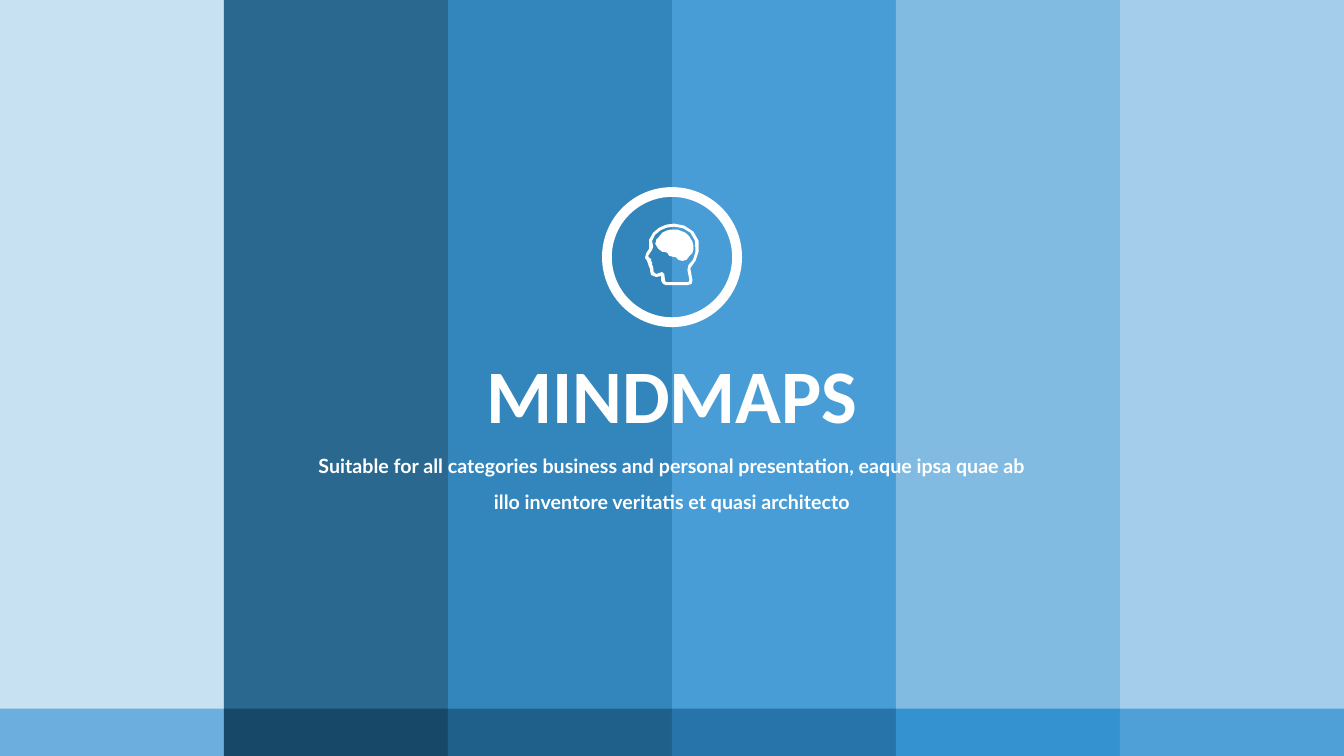
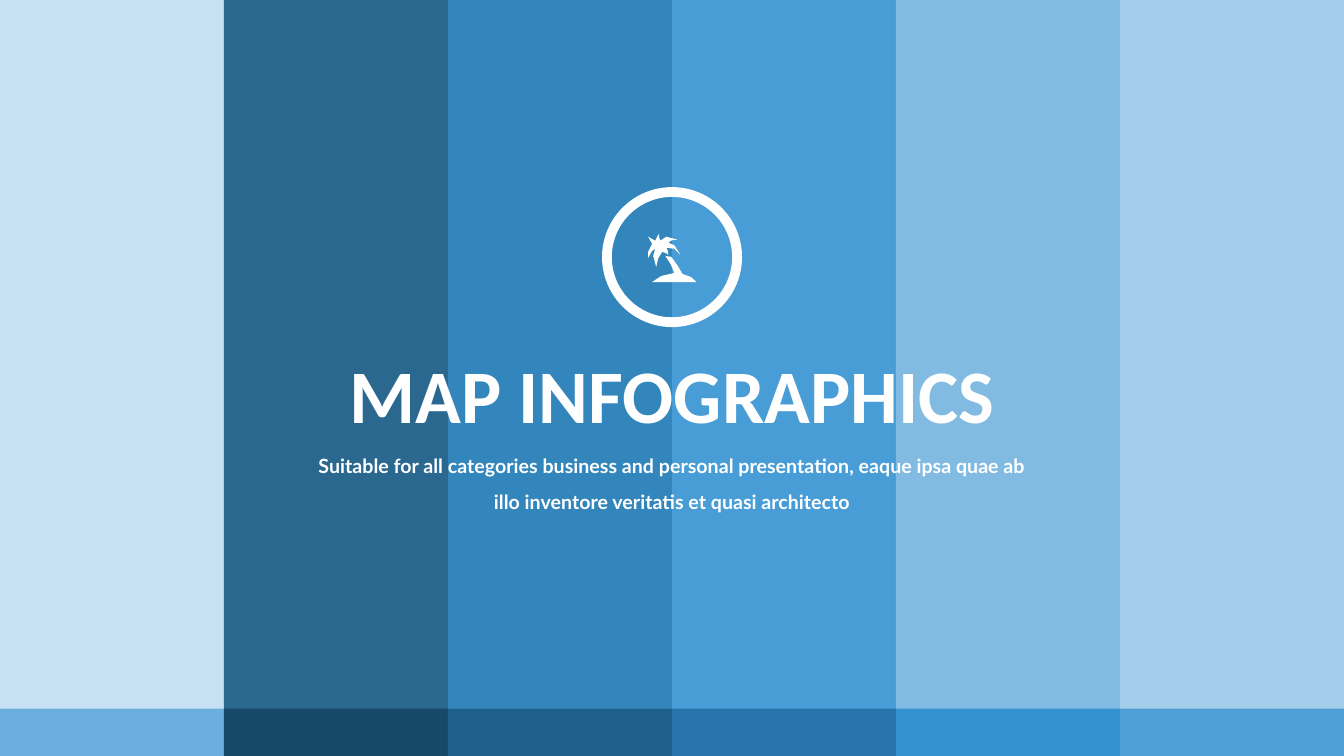
from pptx import Presentation
from pptx.dml.color import RGBColor as RGB
from pptx.enum.shapes import MSO_SHAPE as SHAPE
from pptx.enum.text import MSO_AUTO_SIZE as AUTO, PP_ALIGN as ALIGN
from pptx.oxml.xmlchemy import OxmlElement
from pptx.util import Inches, Pt

COLS, ROWS = 12, 16
WHITE = RGB(0xFF, 0xFF, 0xFF)
ICE = RGB(0xC6, 0xE0, 0xF2)
DEEP = RGB(0x1F, 0x60, 0x8B)
BLUE = RGB(0x29, 0x80, 0xB9)
SKY = RGB(0x40, 0x98, 0xD4)
MIST = RGB(0x7B, 0xB8, 0xE1)
PALE = RGB(0x9F, 0xCB, 0xE9)
FOOT_AZURE = RGB(0x6C, 0xAF, 0xDE)
FOOT_NAVY = RGB(0x17, 0x48, 0x68)
FOOT_BLUE = RGB(0x26, 0x74, 0xA9)
FOOT_BRIGHT = RGB(0x34, 0x92, 0xD1)
FOOT_SKY = RGB(0x4F, 0xA0, 0xD7)

STRIPES = [ICE, DEEP, BLUE, SKY, MIST, PALE]
FOOTERS = [FOOT_AZURE, FOOT_NAVY, DEEP, FOOT_BLUE, FOOT_BRIGHT, FOOT_SKY]
SUBTITLE = ("Suitable for all categories business and personal presentation, "
            "eaque ipsa quae ab illo inventore veritatis et quasi architecto")

HEAD_OUTER = [
    (480, 100), (390, 40), (290, 20), (210, 30), (140, 60), (80, 110),
    (40, 180), (40, 270), (20, 300), (10, 320), (0, 360), (20, 390),
    (30, 420), (40, 450), (50, 470), (50, 490), (60, 530), (110, 550),
    (160, 540), (160, 590), (180, 620), (210, 630), (420, 630), (460, 620),
    (470, 580), (450, 470), (450, 460), (500, 390), (530, 300), (530, 190)]
HEAD_INNER = [
    (500, 300), (475, 380), (430, 430), (420, 480), (440, 580), (430, 600),
    (210, 600), (200, 590), (190, 520), (170, 500), (110, 520), (85, 500),
    (80, 450), (70, 430), (70, 410), (60, 390), (60, 370), (40, 360),
    (30, 340), (70, 280), (80, 250), (70, 190), (100, 130), (155, 85),
    (215, 60), (290, 50), (375, 65), (450, 110), (495, 190)]
BRAIN = [
    (350, 90), (320, 80), (250, 80), (210, 90), (170, 110), (130, 160),
    (110, 180), (110, 190), (100, 220), (130, 270), (170, 300), (190, 300),
    (220, 310), (240, 340), (280, 350), (300, 350), (330, 380), (370, 390),
    (410, 380), (440, 340), (470, 310), (480, 270), (480, 240), (470, 200),
    (440, 150), (400, 110)]
ISLAND = [
    (370, 520), (325, 440), (260, 350), (200, 340), (255, 425), (290, 510),
    (160, 540), (70, 600), (510, 600), (455, 550)]
FRONDS = [
    (100, 270), (80, 340), (110, 450), (130, 365), (170, 300), (210, 315),
    (230, 330), (225, 290), (210, 260), (290, 270), (350, 330), (290, 235),
    (230, 210), (265, 185), (320, 180), (210, 150), (150, 190), (140, 155),
    (140, 120), (125, 140), (100, 190), (55, 165), (30, 150), (50, 185),
    (70, 220), (30, 300), (30, 360), (70, 290)]

SECTIONS = [
    ("MINDMAPS", 3.54, [[HEAD_OUTER, HEAD_INNER], [BRAIN]]),
    ("MAP INFOGRAPHICS", 6, [[ISLAND], [FRONDS]])]


def write(tf, text, font="Calibri", size=14, color=WHITE, bold=True,
          align=ALIGN.CENTER, spacing=None):
    p = tf.paragraphs[0]
    p.alignment = align
    p.line_spacing = spacing
    r = p.add_run()
    r.text = text
    r.font.name, r.font.size, r.font.bold = font, Pt(size), bold
    r.font.color.rgb = color


class Deck:
    def __init__(self):
        self.prs = Presentation()
        self.prs.slide_width, self.prs.slide_height = Inches(13.33), Inches(7.5)
        self.s = None

    def x(self, cols):
        return round(self.prs.slide_width * cols / COLS)

    def y(self, rows):
        return round(self.prs.slide_height * rows / ROWS)

    def paint(self, sp, color, alpha=None):
        sp.shadow.inherit = False
        sp.fill.solid()
        sp.fill.fore_color.rgb = color
        sp.line.fill.background()
        if alpha is not None:
            el = OxmlElement("a:alpha")
            el.set("val", str(alpha * 1000))
            sp.fill._xPr.solidFill[0].append(el)

    def stripes(self, colors, row, rows, alpha=None):
        width = COLS // len(colors)
        for i, color in enumerate(colors):
            sp = self.s.shapes.add_shape(SHAPE.RECTANGLE, self.x(i * width), self.y(row),
                                         self.x(width), self.y(rows))
            self.paint(sp, color, alpha)

    def ring(self, row, cols):
        side = self.x(cols)
        sp = self.s.shapes.add_shape(SHAPE.DONUT, self.x((COLS - cols) / 2), self.y(row),
                                     side, side)
        sp.adjustments[0] = 0.07
        self.paint(sp, WHITE)

    def text(self, text, row, cols, rows, wrap=True, **fmt):
        sp = self.s.shapes.add_textbox(self.x((COLS - cols) / 2), self.y(row),
                                       self.x(cols), self.y(rows))
        tf = sp.text_frame
        tf.word_wrap = wrap
        tf.auto_size = AUTO.SHAPE_TO_FIT_TEXT
        write(tf, text, **fmt)

    def icon(self, outlines, col, row):
        first, *rest = outlines
        fb = self.s.shapes.build_freeform(*first[0], scale=Inches(1) / 1000)
        fb.add_line_segments(first[1:])
        for outline in rest:
            fb.move_to(*outline[0])
            fb.add_line_segments(outline[1:])
        self.paint(fb.convert_to_shape(self.x(col), self.y(row)), WHITE)

    def section(self, title, cols, icon):
        self.s = self.prs.slides.add_slide(self.prs.slide_layouts[6])
        self.stripes(STRIPES, 0, ROWS, alpha=95)
        self.stripes(FOOTERS, ROWS - 1, 1)
        self.text(title, 7.25, cols, 2.15, wrap=False, size=54)
        self.text(SUBTITLE, 9.26, 6.74, 1.64, font="Lato", spacing=1.5)
        self.ring(3.96, 1.25)
        for outlines in icon:
            self.icon(outlines, 5.76, 4.69)


def main():
    deck = Deck()
    for section in SECTIONS:
        deck.section(*section)
    deck.prs.save("out.pptx")


if __name__ == "__main__":
    main()
